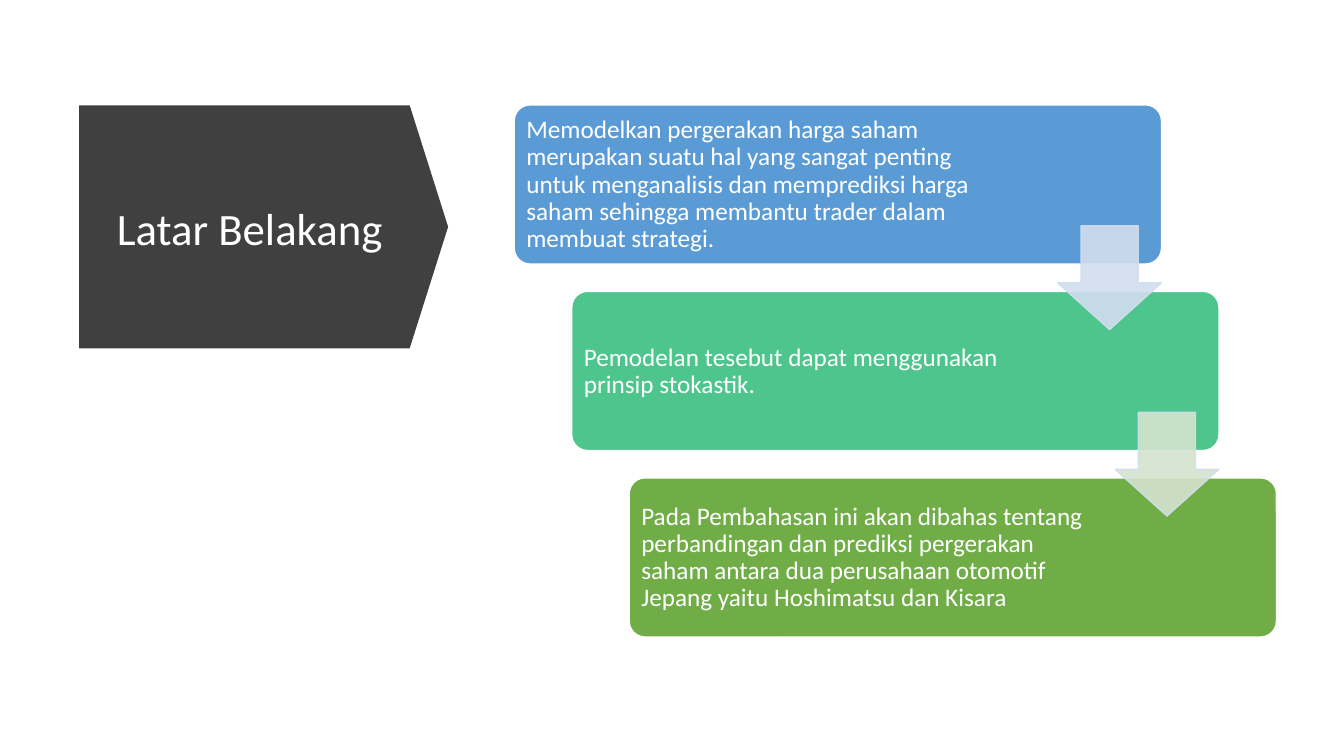
from lxml import etree
from pptx import Presentation
from pptx.dml.color import RGBColor
from pptx.enum.shapes import MSO_SHAPE as SHAPE
from pptx.enum.text import MSO_ANCHOR as ANCHOR, PP_ALIGN as ALIGN
from pptx.oxml.ns import qn
from pptx.util import Inches, Pt


def rgb(color):
    return RGBColor.from_string(color)


def set_opacity(sp, percent):
    """Apply one opacity to the fill and the line of a shape."""
    for color in sp._element.spPr.iter(qn("a:srgbClr")):
        etree.SubElement(color, qn("a:alpha"), val=str(percent * 1000))


class SlideBuilder:
    font = "Calibri"
    text_color = "FFFFFF"
    line_spacing = 0.9

    def __init__(self, slide):
        self.slide = slide

    def shape(self, kind, x, y, w, h, adjustments, fill, line=None):
        sp = self.slide.shapes.add_shape(
            kind, Inches(x), Inches(y), Inches(w), Inches(h))
        sp.shadow.inherit = False
        for i, value in enumerate(adjustments):
            sp.adjustments[i] = value
        sp.fill.solid()
        sp.fill.fore_color.rgb = rgb(fill)
        if line:
            sp.line.color.rgb = rgb(line)
            sp.line.width = Pt(1)
        else:
            sp.line.fill.background()
        return sp

    def text(self, x, y, w, h, content, size, inset):
        box = self.slide.shapes.add_textbox(
            Inches(x), Inches(y), Inches(w), Inches(h))
        tf = box.text_frame
        tf.word_wrap = True
        tf.vertical_anchor = ANCHOR.MIDDLE
        tf.margin_left = tf.margin_right = Inches(inset)
        tf.margin_top = tf.margin_bottom = Inches(inset)
        p = tf.paragraphs[0]
        p.alignment = ALIGN.LEFT
        p.line_spacing = self.line_spacing
        r = p.add_run()
        r.text = content
        r.font.name = self.font
        r.font.size = Pt(size)
        r.font.color.rgb = rgb(self.text_color)

    def title(self, content):
        banner = self.shape(SHAPE.DOWN_ARROW, 1.41, 0.42, 2.41, 3.66,
                            (1, 0.158), "404040")
        banner.rotation = 270
        self.text(1.06, 1.32, 2.92, 1.95, content, 32, 0.1)

    def step(self, x, y, content, fill):
        self.shape(SHAPE.ROUNDED_RECTANGLE, x, y, 6.42, 1.58, (0.1,), fill, "FFFFFF")
        self.text(x + 0.05, y + 0.05, 4.72, 1.49, content, 18, 0.07)

    def arrow(self, x, y, fill):
        sp = self.shape(SHAPE.DOWN_ARROW, x, y, 1.03, 1.03, (0.55, 0.45),
                        fill, "D2DEEF")
        set_opacity(sp, 90)


STEPS = [
    ("Memodelkan pergerakan harga saham merupakan suatu hal yang sangat penting "
     "untuk menganalisis dan memprediksi harga saham sehingga membantu trader "
     "dalam membuat strategi.", "5B9BD5"),
    ("Pemodelan tesebut dapat menggunakan prinsip stokastik.", "4DC58D"),
    ("Pada Pembahasan ini akan dibahas tentang perbandingan dan prediksi "
     "pergerakan saham antara dua perusahaan otomotif Jepang yaitu Hoshimatsu "
     "dan Kisara", "70AD47"),
]
ARROW_FILLS = ["D2DEEF", "D5E3CF"]
STEP_X, STEP_Y = 0.57, 1.85


def main():
    prs = Presentation()
    prs.slide_width, prs.slide_height = Inches(13.33), Inches(7.5)
    builder = SlideBuilder(prs.slides.add_slide(prs.slide_layouts[6]))

    builder.title("Latar Belakang")
    for i, (content, fill) in enumerate(STEPS):
        builder.step(5.1 + i * STEP_X, 1.04 + i * STEP_Y, content, fill)
    for i, fill in enumerate(ARROW_FILLS):
        builder.arrow(10.49 + i * STEP_X, 2.24 + i * STEP_Y, fill)

    prs.save("out.pptx")


if __name__ == "__main__":
    main()
